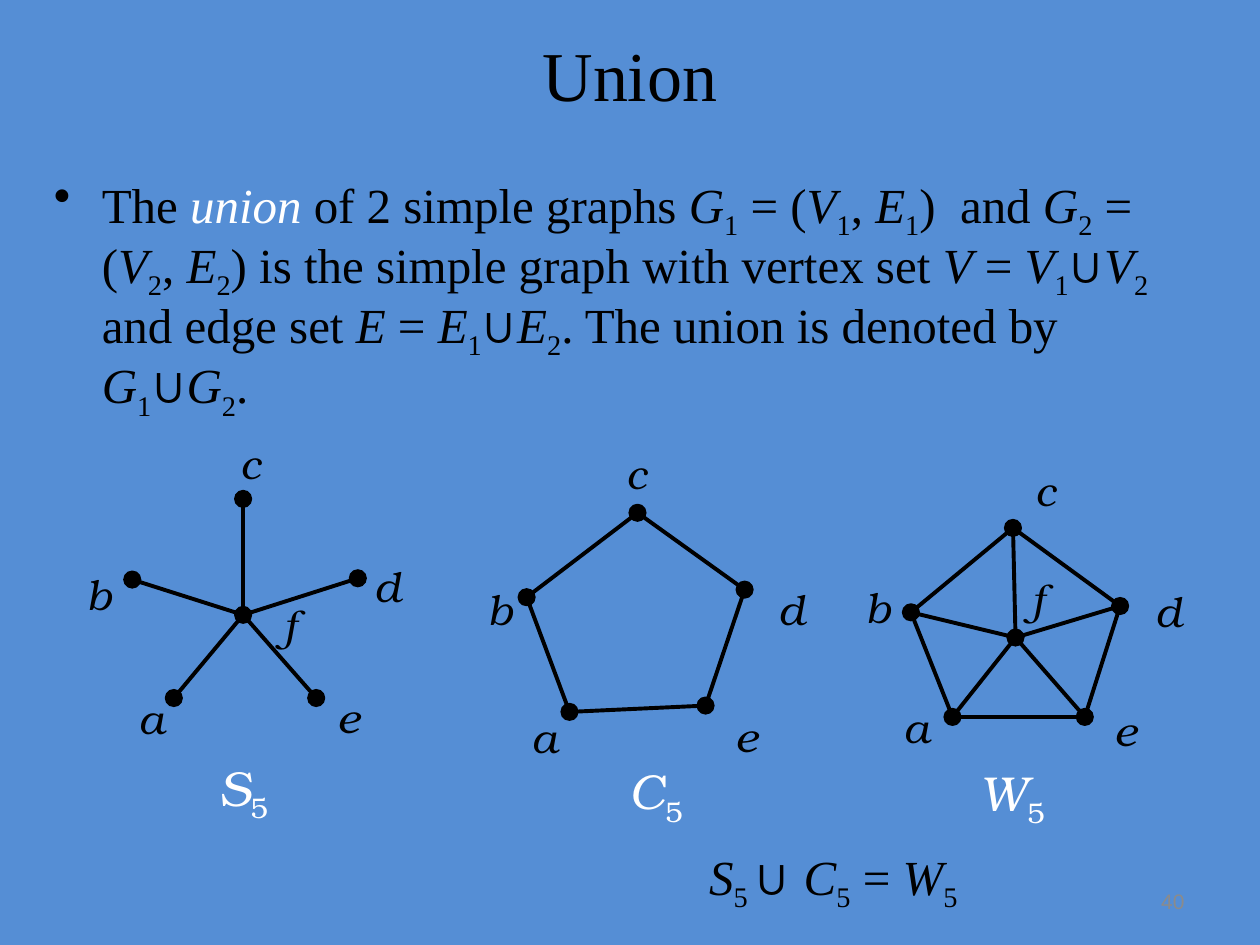
"""Build a slide that defines the union of two simple graphs."""
from lxml import etree
from pptx import Presentation
from pptx.dml.color import RGBColor
from pptx.enum.shapes import MSO_CONNECTOR, MSO_SHAPE
from pptx.enum.text import MSO_ANCHOR, PP_ALIGN
from pptx.oxml.ns import qn
from pptx.util import Inches, Pt

LINE, OVAL = MSO_CONNECTOR.STRAIGHT, MSO_SHAPE.OVAL
LEFT, MID, RIGHT = PP_ALIGN.LEFT, PP_ALIGN.CENTER, PP_ALIGN.RIGHT
TOP, CENTER = MSO_ANCHOR.TOP, MSO_ANCHOR.MIDDLE
BLUE = RGBColor(0x55, 0x8E, 0xD5)
BLACK = RGBColor(0, 0, 0)
WHITE = RGBColor(0xFF, 0xFF, 0xFF)
GRAY = RGBColor(0x8B, 0x8B, 0x8B)
TIMES, BONUM, ARIAL = "Times New Roman", "TeX Gyre Bonum", "Arial"
DOT = 0.13

# Segments split at "|": "/" italic, "!" white italic, "_" subscript.
TITLE = "Union"
BODY = (
    "The |!union |of 2 simple graphs |/G|_1| = (|/V|_1|, |/E|_1|)  and |/G|_2"
    "| = (|/V|_2|, |/E|_2|) is the simple graph with vertex set |/V| = |/V|_1|∪|/V|_2"
    "| and edge set |/E| = |/E|_1|∪|/E|_2|. The union is denoted by |/G|_1|∪|/G|_2|."
)
RESULT = "/S|_5 |∪ |/C|_5| = |/W|_5"
PAGE = "40"

SPOKES = ["fa", "fb", "fc", "fd", "fe"]
RIM = ["ab", "bc", "cd", "de", "ea"]
GRAPHS = [
    {
        "name": ("/S|_5", 1.64, 5.96),
        "edges": SPOKES,
        "dots": {"a": (1.38, 5.54), "b": (1.05, 4.6), "c": (1.93, 3.96),
                 "d": (2.84, 4.59), "e": (2.51, 5.54), "f": (1.93, 4.88)},
        "marks": {"a": (1, 5.45), "b": (0.59, 4.46), "c": (1.81, 3.42),
                  "d": (2.87, 4.4), "e": (2.58, 5.44), "f": (2.14, 4.71)},
    },
    {
        "name": ("/C|_5", 4.9, 5.99),
        "edges": RIM,
        "dots": {"a": (4.52, 5.65), "b": (4.18, 4.74), "c": (5.06, 4.07),
                 "d": (5.91, 4.68), "e": (5.6, 5.6)},
        "marks": {"a": (4.12, 5.6), "b": (3.77, 4.58), "c": (4.87, 3.5),
                  "d": (6.08, 4.58), "e": (5.74, 5.59)},
    },
    {
        "name": ("/W|_5", 7.68, 6),
        "edges": RIM + SPOKES,
        "dots": {"a": (7.56, 5.69), "b": (7.23, 4.86), "c": (8.04, 4.19),
                 "d": (8.89, 4.81), "e": (8.61, 5.69), "f": (8.06, 5.06)},
        "marks": {"a": (7.07, 5.52), "b": (6.77, 4.57), "c": (8.12, 3.64),
                  "d": (9.07, 4.6), "e": (8.75, 5.54), "f": (8.08, 4.5)},
    },
]


def add_text(slide, text, box, size, face=TIMES, color=BLACK, align=LEFT,
             anchor=TOP, bullet=False):
    frame = slide.shapes.add_textbox(*map(Inches, box)).text_frame
    frame.word_wrap = True
    frame.vertical_anchor = anchor
    para = frame.paragraphs[0]
    para.alignment = align
    if bullet:
        props = para._p.get_or_add_pPr()
        props.set("marL", str(Inches(0.38)))
        props.set("indent", str(-Inches(0.38)))
        etree.SubElement(props, qn("a:buChar")).set("char", "•")
        para.line_spacing = 0.9
    para.font.size = Pt(size)
    para.font.name = face
    para.font.color.rgb = color
    for part in text.split("|"):
        run = para.add_run()
        run.text = part.lstrip("/!_")
        if part[0] in "/!":
            run.font.italic = True
        if part[0] == "!":
            run.font.color.rgb = WHITE
        if part[0] == "_":
            run.font._element.set("baseline", "-25000")
        if part[0] == "∪":
            run.font.name = ARIAL


def add_edge(slide, start, end):
    edge = slide.shapes.add_connector(LINE, *map(Inches, start + end))
    edge.line.color.rgb = BLACK
    edge.line.width = Pt(2.25)
    etree.SubElement(edge._element.spPr, qn("a:effectLst"))


def add_dot(slide, x, y):
    box = (x - DOT / 2, y - DOT / 2, DOT, DOT)
    dot = slide.shapes.add_shape(OVAL, *map(Inches, box))
    dot.shadow.inherit = False
    dot.fill.solid()
    dot.fill.fore_color.rgb = BLACK
    dot.line.color.rgb = BLACK
    dot.line.width = Pt(1)


def add_graph(slide, graph):
    dots = graph["dots"]
    for start, end in graph["edges"]:
        add_edge(slide, dots[start], dots[end])
    for spot in dots.values():
        add_dot(slide, *spot)
    for mark, spot in graph["marks"].items():
        add_text(slide, "/" + mark, spot + (0.45, 0.5), 24, BONUM)
    name, x, y = graph["name"]
    add_text(slide, name, (x, y, 0.75, 0.63), 28, BONUM, WHITE)


def main():
    deck = Presentation()
    deck.slide_width, deck.slide_height = Inches(10), Inches(7.5)
    slide = deck.slides.add_slide(deck.slide_layouts[6])
    slide.background.fill.solid()
    slide.background.fill.fore_color.rgb = BLUE
    add_text(slide, TITLE, (0.5, 0.17, 9, 0.83), 40, align=MID, anchor=CENTER)
    add_text(slide, BODY, (0.33, 1.34, 9.33, 2.08), 28, bullet=True)
    for graph in GRAPHS:
        add_graph(slide, graph)
    add_text(slide, RESULT, (5.53, 6.67, 2.4, 0.63), 28)
    add_text(slide, PAGE, (8.5, 6.95, 1, 0.4), 12, ARIAL, GRAY, RIGHT, CENTER)
    deck.save("out.pptx")


if __name__ == "__main__":
    main()
